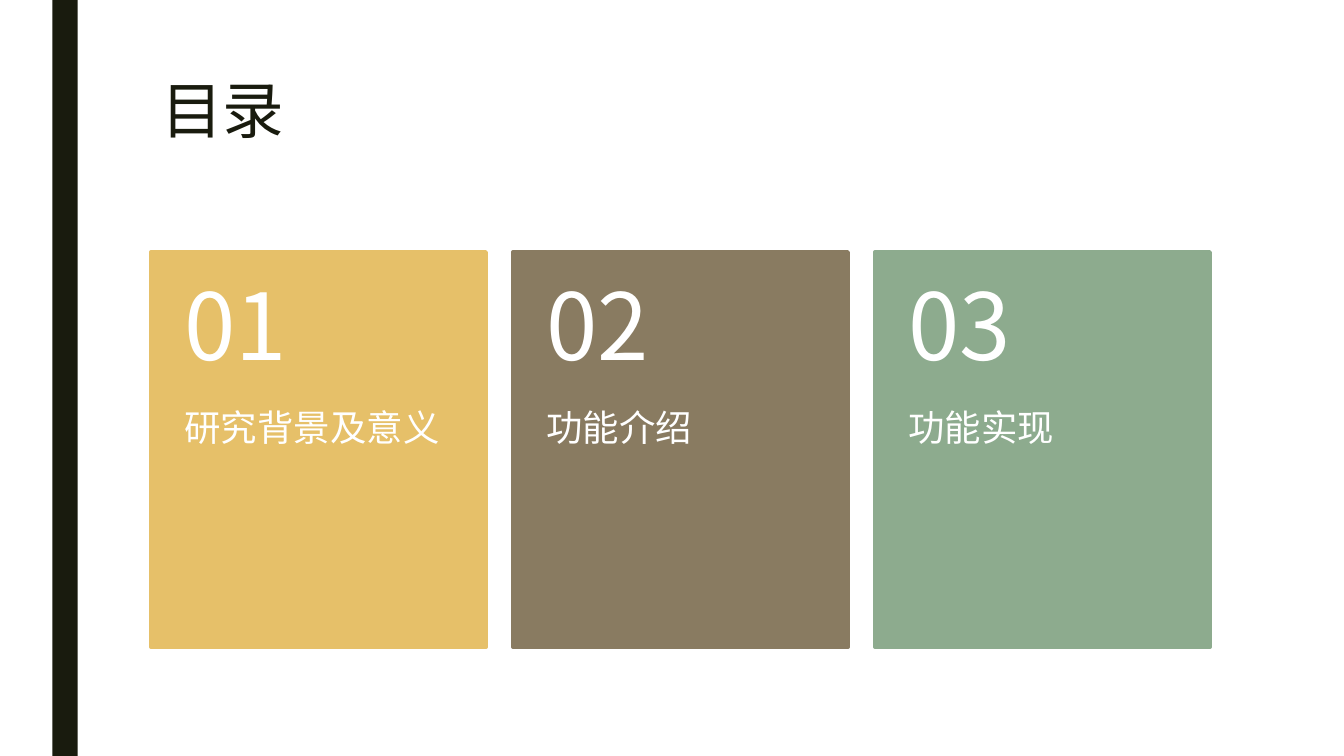
from dataclasses import dataclass

from lxml.etree import SubElement
from pptx import Presentation
from pptx.dml.color import RGBColor
from pptx.enum.shapes import MSO_SHAPE as Preset
from pptx.enum.text import MSO_ANCHOR as Anchor
from pptx.oxml.ns import qn
from pptx.slide import Slide
from pptx.util import Inches, Pt

INK = RGBColor(0x19, 0x1B, 0x0E)
WHITE = RGBColor(0xFF, 0xFF, 0xFF)
GOLD = RGBColor(0xE6, 0xC0, 0x69)
BROWN = RGBColor(0x89, 0x7B, 0x61)
GREEN = RGBColor(0x8D, 0xAB, 0x8E)

LATIN_FONT = "Cabin"
CHINESE_FONT = "Noto Sans CJK SC"

PAGE_WIDTH, PAGE_HEIGHT = 13.33, 7.5
GRID_LEFT, GRID_TOP = 1.5, 2.5
COLUMN_WIDTH, COLUMN_GAP = 3.32, 0.27
CARD_HEIGHT = 3.92
NUMBER_HEIGHT = 0.4 * CARD_HEIGHT


@dataclass(frozen=True)
class Area:
    """A rectangle in inches."""
    left: float
    top: float
    width: float
    height: float

    def lengths(self) -> list[int]:
        return [Inches(n) for n in (self.left, self.top, self.width, self.height)]


@dataclass(frozen=True)
class TextStyle:
    """Type settings; insets are left, top, right and bottom in inches."""
    size: float
    color: RGBColor
    font: str
    insets: tuple[float, float, float, float]
    anchor: Anchor = Anchor.TOP
    space_after: float = 0


@dataclass(frozen=True)
class Card:
    number: str
    topic: str
    color: RGBColor


TITLE = TextStyle(44, INK, LATIN_FONT, (0.1, 0.05, 0.1, 0.05))
NUMBER = TextStyle(66, WHITE, CHINESE_FONT, (0.33, 0.18, 0.33, 0.18), Anchor.MIDDLE, 23)
TOPIC = TextStyle(26, WHITE, CHINESE_FONT, (0.33, 0, 0.33, 0.36), space_after=9)

CARDS = (
    Card("01", "研究背景及意义", GOLD),
    Card("02", "功能介绍", BROWN),
    Card("03", "功能实现", GREEN),
)


def add_block(page: Slide, area: Area, color: RGBColor, outline: float = 0) -> None:
    """Add a plain rectangle, outlined in its own colour if a width is given."""
    block = page.shapes.add_shape(Preset.RECTANGLE, *area.lengths())
    block.shadow.inherit = False
    block.fill.solid()
    block.fill.fore_color.rgb = color
    if outline:
        block.line.color.rgb = color
        block.line.width = Pt(outline)
    else:
        block.line.fill.background()


def add_text(page: Slide, area: Area, text: str, style: TextStyle) -> None:
    box = page.shapes.add_textbox(*area.lengths())
    frame = box.text_frame
    frame.word_wrap = True
    frame.vertical_anchor = style.anchor
    (frame.margin_left, frame.margin_top,
     frame.margin_right, frame.margin_bottom) = map(Inches, style.insets)
    frame.text = text
    para = frame.paragraphs[0]
    para.line_spacing = 0.9
    para.space_after = Pt(style.space_after)
    font = para.runs[0].font
    font.size = Pt(style.size)
    font.color.rgb = style.color
    font.name = style.font
    east_asian = SubElement(font._element, qn("a:ea"))
    east_asian.set("typeface", CHINESE_FONT)


def add_card(page: Slide, card: Card, column: int) -> None:
    left = GRID_LEFT + column * (COLUMN_WIDTH + COLUMN_GAP)
    topic_top = GRID_TOP + NUMBER_HEIGHT
    topic_height = CARD_HEIGHT - NUMBER_HEIGHT
    add_block(page, Area(left, GRID_TOP, COLUMN_WIDTH, CARD_HEIGHT), card.color, 2.75)
    add_text(page, Area(left, topic_top, COLUMN_WIDTH, topic_height), card.topic, TOPIC)
    add_text(page, Area(left, GRID_TOP, COLUMN_WIDTH, NUMBER_HEIGHT), card.number, NUMBER)


def main() -> None:
    deck = Presentation()
    deck.slide_width, deck.slide_height = Inches(PAGE_WIDTH), Inches(PAGE_HEIGHT)
    page = deck.slides.add_slide(deck.slide_layouts[6])
    add_block(page, Area(0.52, 0, 0.25, PAGE_HEIGHT), INK)
    add_text(page, Area(GRID_LEFT, 0.75, 10.5, 1.62), "目录", TITLE)
    for column, card in enumerate(CARDS):
        add_card(page, card, column)
    deck.save("out.pptx")


if __name__ == "__main__":
    main()
